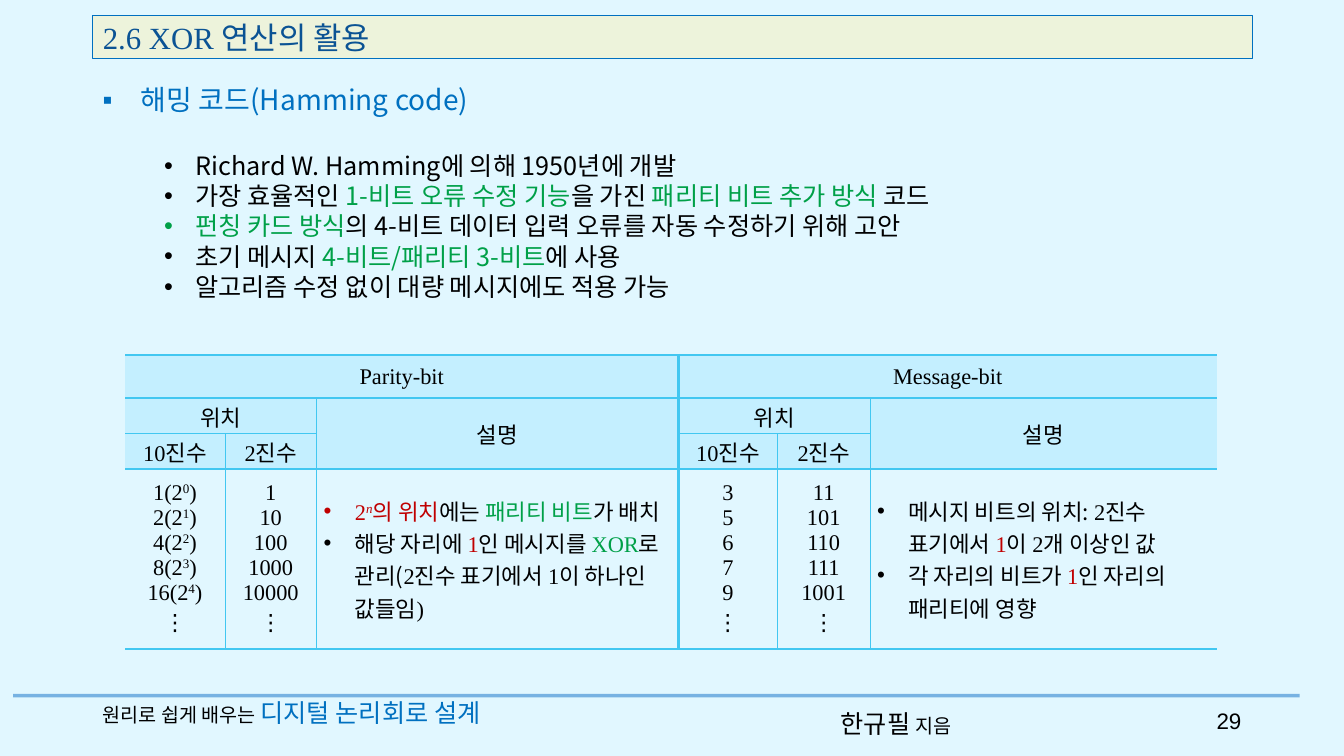
from lxml.etree import SubElement as Sub
from pptx import Presentation
from pptx.dml.color import RGBColor as Rgb
from pptx.enum.shapes import MSO_CONNECTOR as Link
from pptx.enum.text import MSO_ANCHOR as Anchor, MSO_AUTO_SIZE as Fit, PP_ALIGN as Align
from pptx.oxml.ns import qn
from pptx.util import Inches, Pt

COLORS = {
    "back": "E1F7FF", "head": "C4EFFF", "grid": "42C7F1", "rule": "0F6FC6",
    "bar": "EDF3DB", "blue": "0070C0", "title": "0B5394",
    "black": "000000", "green": "00A048", "red": "C00000",
}
NOTO, TIMES, ARIAL = "Noto Sans CJK KR", "Times New Roman", "Arial"
THICK, THIN = 1.7, 0.28


def color(name):
    return Rgb.from_string(COLORS[name])


class Deck:
    def __init__(self):
        self.prs = Presentation()
        self.prs.slide_width, self.prs.slide_height = Inches(13.33), Inches(7.5)
        self.slide = self.prs.slides.add_slide(self.prs.slide_layouts[5])
        fill = self.slide.background.fill
        fill.solid()
        fill.fore_color.rgb = color("back")

    def style(self, run, size, face=NOTO, tint="black", sup=False, italic=False):
        font = run.font
        font.size, font.name = Pt(size), face
        font.color.rgb = color(tint)
        if italic:
            font.italic = True
        props = font._element
        Sub(props, qn("a:ea")).set("typeface", ARIAL if face == ARIAL else NOTO)
        if sup:
            props.set("baseline", "30000")

    def fill_text(self, frame, paras, size, align=Align.LEFT, mark=None, left=0, hang=0):
        """Each paragraph is a list of (text, style options) pairs."""
        frame.word_wrap = True
        for i, parts in enumerate(paras):
            para = frame.add_paragraph() if i else frame.paragraphs[0]
            para.alignment = align
            if mark:
                props = para._p.get_or_add_pPr()
                props.set("marL", str(Inches(left)))
                props.set("indent", str(-Inches(hang)))
                Sub(props, qn("a:buFont")).set("typeface", ARIAL)
                Sub(props, qn("a:buChar")).set("char", mark)
            for text, opts in parts:
                run = para.add_run()
                run.text = text
                self.style(run, **{"size": size, **opts})

    def title(self, text, box):
        shape = self.slide.shapes.title
        shape.left, shape.top, shape.width, shape.height = map(Inches, box)
        shape.fill.solid()
        shape.fill.fore_color.rgb = color("bar")
        shape.line.color.rgb = color("blue")
        shape.line.width = Pt(0.75)
        frame = shape.text_frame
        frame.auto_size, frame.vertical_anchor = Fit.NONE, Anchor.MIDDLE
        frame.text, frame.word_wrap = text, True
        frame.paragraphs[0].alignment = Align.LEFT
        self.style(frame.paragraphs[0].runs[0], 22, TIMES, "title")

    def text(self, box, paras, size, **layout):
        frame = self.slide.shapes.add_textbox(*map(Inches, box)).text_frame
        frame.vertical_anchor = Anchor.MIDDLE
        self.fill_text(frame, paras, size, **layout)

    def rule(self, x1, x2, y):
        line = self.slide.shapes.add_connector(Link.STRAIGHT, *map(Inches, (x1, y, x2, y)))
        line.line.color.rgb = color("rule")
        line.line.width = Pt(2.5)
        props = line._element.spPr
        Sub(next(props.iter(qn("a:srgbClr"))), qn("a:alpha")).set("val", "50000")
        Sub(props, qn("a:effectLst"))

    def table(self, box, cols, rows, spans):
        grid = self.slide.shapes.add_table(len(rows), len(cols), *map(Inches, box)).table
        for col, width in zip(grid.columns, cols):
            col.width = Inches(width)
        for row, height in zip(grid.rows, rows):
            row.height = Inches(height)
        for row, col, high, wide in spans:
            grid.cell(row, col).merge(grid.cell(row + high - 1, col + wide - 1))
        return grid

    def edge(self, cell, side, width):
        line = Sub(cell._tc.get_or_add_tcPr(), qn("a:ln" + side))
        if width:
            line.set("w", str(Pt(width)))
            paint = Sub(line, qn("a:solidFill"))
            Sub(paint, qn("a:srgbClr")).set("val", COLORS["grid"])
        else:
            Sub(line, qn("a:noFill"))

    def cell(self, grid, row, col, paras, across, down, **layout):
        """Fill one cell; across and down hold the widths of the grid's lines."""
        cell = grid.cell(row, col)
        cell.vertical_anchor = Anchor.MIDDLE
        cell.margin_left = cell.margin_right = Inches(0.07)
        cell.margin_top = cell.margin_bottom = Inches(0.02)
        wide, high = (cell.span_width, cell.span_height) if cell.is_merge_origin else (1, 1)
        self.edge(cell, "L", down[col])
        self.edge(cell, "R", down[col + wide])
        self.edge(cell, "T", across[row])
        self.edge(cell, "B", across[row + high])
        if row < 3:
            cell.fill.solid()
            cell.fill.fore_color.rgb = color("head")
        else:
            cell.fill.background()
        self.fill_text(cell.text_frame, paras, 16, **layout)


NO, SERIF = {}, {"face": TIMES}
GREEN, RED = {"tint": "green"}, {"tint": "red"}
RED_T, GREEN_T = {**SERIF, **RED}, {**SERIF, **GREEN}
DOTS = [("⋮", NO)]

FACTS = [
    [("Richard W. Hamming에 의해 1950년에 개발", NO)],
    [("가장 효율적인 ", NO), ("1-비트 오류 수정 기능", GREEN), ("을 가진 ", NO),
     ("패리티 비트 추가 방식 ", GREEN), ("코드", NO)],
    [("펀칭 카드 방식", GREEN), ("의 4-비트 데이터 입력 오류를 자동 수정하기 위해 고안", NO)],
    [("초기 메시지 ", NO), ("4-비트/패리티 3-비트", GREEN), ("에 사용", NO)],
    [("알고리즘 수정 없이 대량 메시지에도 적용 가능", NO)],
]
PARITY = [
    [("2", RED_T), ("n", {**RED_T, "sup": True, "italic": True}), ("의 위치", RED),
     ("에는 ", NO), ("패리티 비트", GREEN), ("가 배치", NO)],
    [("해당 자리에 ", NO), ("1", RED_T), ("인 메시지를 ", NO), ("XOR", GREEN_T),
     ("로 관리(", NO), ("2", SERIF), ("진수 표기에서 ", NO), ("1", SERIF),
     ("이 하나인 값들임", NO), (")", SERIF)],
]
MESSAGE = [
    [("메시지 비트의 위치: ", NO), ("2", SERIF), ("진수 표기에서 ", NO), ("1", RED_T),
     ("이 ", NO), ("2", SERIF), ("개 이상인 값", NO)],
    [("각 자리의 비트가 ", NO), ("1", RED_T), ("인 자리의 패리티에 영향", NO)],
]
POWERS = [[(f"{2 ** n}(2", SERIF), (str(n), {**SERIF, "sup": True}), (")", SERIF)]
          for n in range(5)]


def serif(items):
    return [[(str(item), SERIF)] for item in items]


def binary(nums):
    return serif(f"{num:b}" for num in nums) + [DOTS]


def main():
    deck = Deck()
    deck.rule(0.13, 12.89, 6.9)
    deck.text((8.24, 6.98, 1.53, 0.4), [[("한규필 ", NO), ("지음", {"size": 14})]], 18)
    deck.text((0.92, 6.87, 4.63, 0.4),
              [[("원리로 쉽게 배우는 ", {**SERIF, "size": 14}),
                ("디지털 논리회로 설계", {**SERIF, "tint": "blue"})]], 18)
    deck.text((11.79, 6.95, 0.62, 0.4), [[("29", {"face": ARIAL})]], 16, align=Align.RIGHT)
    deck.title("2.6 XOR 연산의 활용", (0.92, 0.15, 11.5, 0.43))
    deck.text((0.92, 0.77, 11.5, 0.44), [[("해밍 코드(Hamming code)", {"tint": "blue"})]], 20,
              mark="▪", left=0.38, hang=0.38)
    deck.text((1.03, 1.3, 11.37, 1.88), FACTS, 18, mark="•", left=0.81, hang=0.31)

    spans = [span for col in (0, 3)
             for span in ((0, col, 1, 3), (1, col, 1, 2), (1, col + 2, 2, 1))]
    grid = deck.table((1.24, 3.52, 10.83, 2.92), (0.99, 0.91, 3.59, 0.98, 0.92, 3.44),
                      (0.43, 0.35, 0.35, 1.79), spans)
    lines = {"across": (THICK, THICK, THIN, THICK, THICK),
             "down": (0, THIN, THIN, THICK, THIN, THIN, 0)}
    odds = (3, 5, 6, 7, 9)
    halves = (
        (0, "Parity-bit", POWERS + [DOTS], binary(2 ** n for n in range(5)), PARITY),
        (3, "Message-bit", serif(odds) + [DOTS], binary(odds), MESSAGE),
    )
    for col, name, places, bits, notes in halves:
        centred = (
            (0, 0, serif([name])),
            (1, 0, [[("위치", NO)]]),
            (1, 2, [[("설명", NO)]]),
            (2, 0, [[("10", SERIF), ("진수", NO)]]),
            (2, 1, [[("2", SERIF), ("진수", NO)]]),
            (3, 0, places),
            (3, 1, bits),
        )
        for row, step, paras in centred:
            deck.cell(grid, row, col + step, paras, **lines, align=Align.CENTER)
        deck.cell(grid, 3, col + 2, notes, **lines, mark="•", left=0.31, hang=0.31)
    deck.prs.save("out.pptx")


if __name__ == "__main__":
    main()
